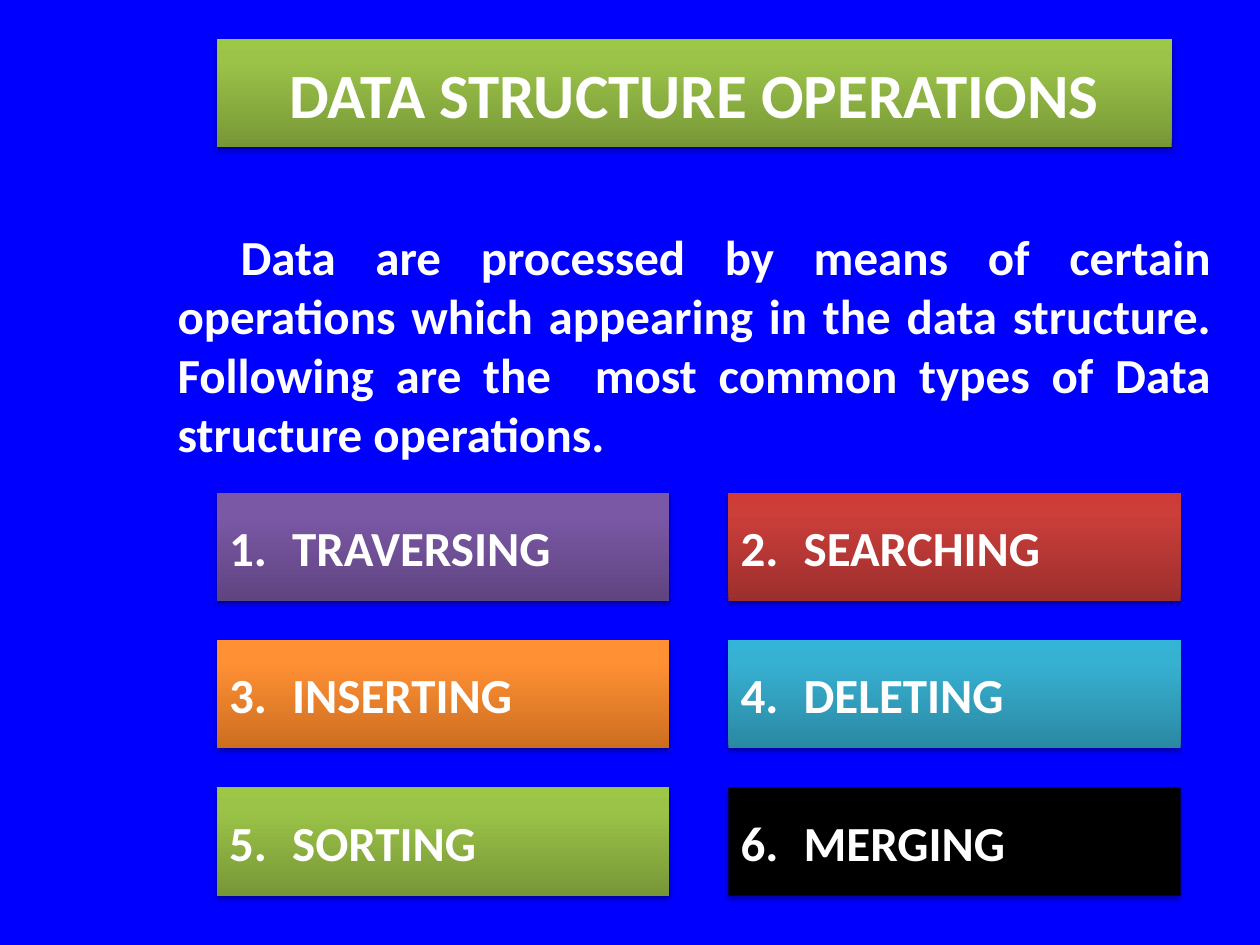
from copy import deepcopy
from dataclasses import dataclass

from lxml.etree import SubElement
from pptx import Presentation
from pptx.dml.color import RGBColor as RGB
from pptx.enum.shapes import MSO_SHAPE as SHAPE
from pptx.enum.text import MSO_ANCHOR as ANCHOR, PP_ALIGN as ALIGN
from pptx.oxml.ns import qn
from pptx.util import Inches, Pt


@dataclass(frozen=True)
class Theme:
    font: str = "Calibri"
    title_size: int = 36
    body_size: int = 28
    background: str = "0000FF"
    text: str = "FFFFFF"
    # Gradients run from the bottom edge to the top edge
    green: tuple = ("779737", "9BC348", "9DC746")
    purple: tuple = ("5F4480", "7B58A6", "7C57A8")
    red: tuple = ("9C2F2D", "CB3E3A", "CE3B37")
    orange: tuple = ("CC6E20", "FF9034", "FF9136")
    teal: tuple = ("2A88A2", "37B1D2", "34B4D6")
    black: tuple = ("000000",)
    stops: tuple = (0, 0.8, 1)


THEME = Theme()

OPERATIONS = [
    ("TRAVERSING", THEME.purple),
    ("SEARCHING", THEME.red),
    ("INSERTING", THEME.orange),
    ("DELETING", THEME.teal),
    ("SORTING", THEME.green),
    ("MERGING", THEME.black),
]
INTRO = (
    "\tData are processed by means of certain operations which appearing in "
    "the data structure. Following are the  most common types of Data "
    "structure operations."
)

# Layout in inches
LEFT, BOX_HEIGHT = 1.72, 0.86
GRID_TOP, COLUMN_STEP, ROW_STEP = 3.91, 4.06, 1.17
TITLE_WIDTH, BOX_WIDTH = 7.58, 3.59


def fill_box(sp, colors):
    """Fill with one colour, or with a vertical three-colour gradient."""
    if len(colors) == 1:
        sp.fill.solid()
        sp.fill.fore_color.rgb = RGB.from_string(colors[0])
        return
    sp.fill.gradient()
    sp.fill.gradient_angle = 90
    stop_list = sp._element.spPr.find(".//" + qn("a:gsLst"))
    stop_list.insert(1, deepcopy(stop_list[0]))
    for stop, color, position in zip(sp.fill.gradient_stops, colors, THEME.stops):
        stop.color.rgb = RGB.from_string(color)
        stop.position = position


def add_shadow(sp):
    """Add a soft shadow straight below the shape."""
    sp.shadow.inherit = False
    effects = sp._element.spPr.find(qn("a:effectLst"))
    shadow = SubElement(effects, qn("a:outerShdw"), blurRad=str(Pt(3.1)),
                        dist=str(Pt(1.8)), dir="5400000", rotWithShape="0")
    color = SubElement(shadow, qn("a:srgbClr"), val="000000")
    SubElement(color, qn("a:alpha"), val="35000")


def write_text(tf, text, size, align):
    tf.word_wrap = True
    p = tf.paragraphs[0]
    p.alignment = align
    r = p.add_run()
    r.text = text
    r.font.name = THEME.font
    r.font.size = Pt(size)
    r.font.bold = True
    r.font.color.rgb = RGB.from_string(THEME.text)


def add_box(slide, left, top, width, text, colors, size=THEME.body_size,
            align=ALIGN.LEFT):
    sp = slide.shapes.add_shape(SHAPE.RECTANGLE, Inches(left), Inches(top),
                                Inches(width), Inches(BOX_HEIGHT))
    fill_box(sp, colors)
    sp.line.fill.background()
    add_shadow(sp)
    sp.text_frame.vertical_anchor = ANCHOR.MIDDLE
    write_text(sp.text_frame, text, size, align)


def add_intro(slide):
    sp = slide.shapes.add_textbox(Inches(1.41), Inches(1.8), Inches(8.2), Inches(2.03))
    tf = sp.text_frame
    tf.margin_left = tf.margin_top = tf.margin_right = tf.margin_bottom = 0
    write_text(tf, INTRO, THEME.body_size, ALIGN.JUSTIFY)


def main():
    prs = Presentation()
    prs.slide_width, prs.slide_height = Inches(10), Inches(7.5)
    slide = prs.slides.add_slide(prs.slide_layouts[6])
    slide.background.fill.solid()
    slide.background.fill.fore_color.rgb = RGB.from_string(THEME.background)

    # Title and introduction
    add_box(slide, LEFT, 0.31, TITLE_WIDTH, "DATA STRUCTURE OPERATIONS",
            THEME.green, THEME.title_size, ALIGN.CENTER)
    add_intro(slide)

    # Numbered operations in two columns
    for i, (name, colors) in enumerate(OPERATIONS):
        row, column = divmod(i, 2)
        add_box(slide, LEFT + column * COLUMN_STEP, GRID_TOP + row * ROW_STEP,
                BOX_WIDTH, f"{i + 1}.\t{name}", colors)

    prs.save("out.pptx")


if __name__ == "__main__":
    main()
